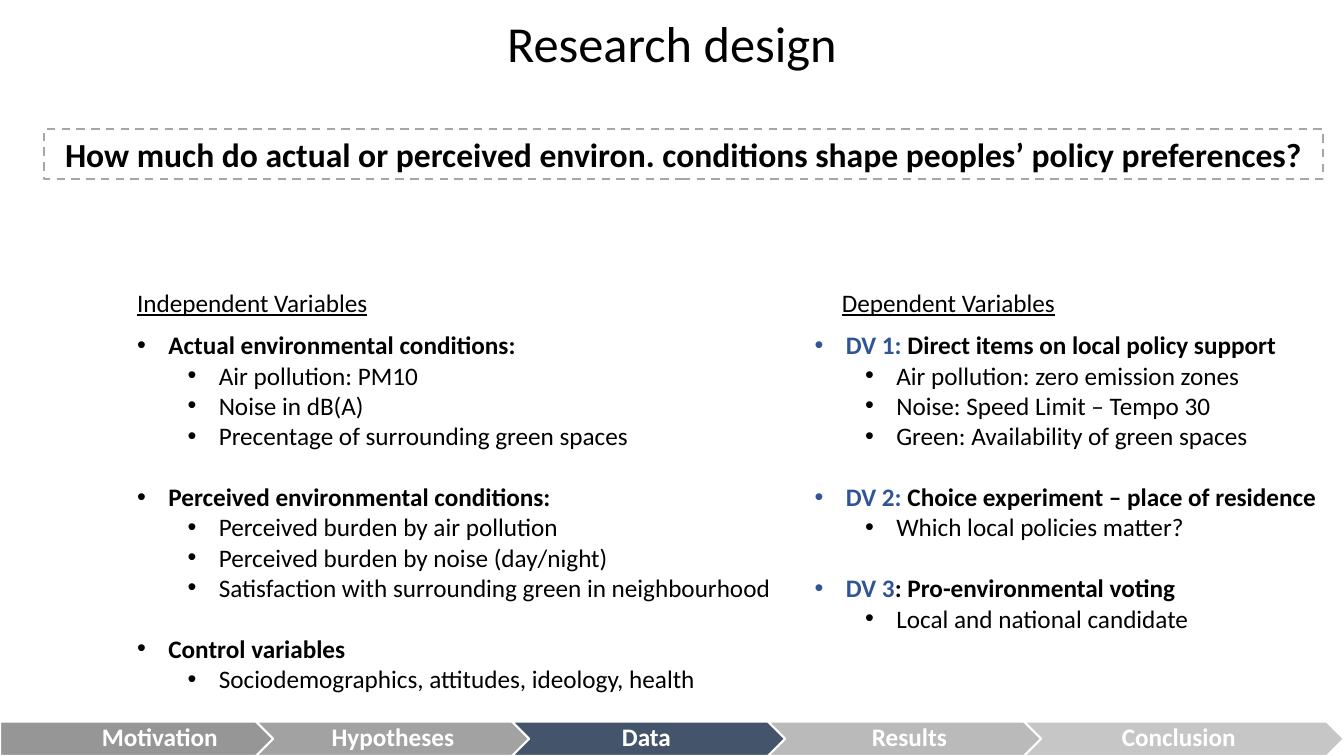
from lxml import etree
from pptx import Presentation
from pptx import util as u
from pptx.dml import color
from pptx.enum import dml, shapes, text
from pptx.oxml import ns

WIDTH, HEIGHT = 13.33, 7.5
LIST_TOP, HEADING_TOP = 3.22, 2.8
BLACK, WHITE, BLUE = "000000", "FFFFFF", "2F5597"
LINE_HEIGHT = 22

INDEPENDENT = [
    ("", "Actual environmental conditions:",
     ["Air pollution: PM10", "Noise in dB(A)", "Precentage of surrounding green spaces"]),
    ("", "Perceived environmental conditions:",
     ["Perceived burden by air pollution", "Perceived burden by noise (day/night)",
      "Satisfaction with surrounding green in neighbourhood"]),
    ("", "Control variables", ["Sociodemographics, attitudes, ideology, health"]),
]
DEPENDENT = [
    ("DV 1: ", "Direct items on local policy support",
     ["Air pollution: zero emission zones", "Noise: Speed Limit – Tempo 30",
      "Green: Availability of green spaces"]),
    ("DV 2: ", "Choice experiment – place of residence", ["Which local policies matter?"]),
    ("DV 3", ": Pro-environmental voting", ["Local and national candidate"]),
]
STAGES = [
    ("Motivation", "969696", 1.01),
    ("Hypotheses", "A2A2A2", 0.58),
    ("Data", "44546A", 0.92),
    ("Results", "BABABA", 0.86),
    ("Conclusion", "C6C6C6", 0.8),
]


def rgb(hex_code):
    """Turn a hex string into a colour."""
    return color.RGBColor.from_string(hex_code)


def write(paragraph, words, size=18, fill=BLACK, bold=False, underline=False):
    """Add a formatted run to a paragraph."""
    run = paragraph.add_run()
    run.text = words
    run.font.name = "Calibri"
    run.font.size = u.Pt(size)
    run.font.bold = bold
    run.font.underline = underline
    run.font.color.rgb = rgb(fill)


def place(placeholder, left, top, width, height, anchor=text.MSO_ANCHOR.TOP):
    """Move a placeholder and return its text frame."""
    placeholder.left, placeholder.top = u.Inches(left), u.Inches(top)
    placeholder.width, placeholder.height = u.Inches(width), u.Inches(height)
    frame = placeholder.text_frame
    frame.auto_size = text.MSO_AUTO_SIZE.NONE
    frame.word_wrap = True
    frame.vertical_anchor = anchor
    return frame


def bullet(paragraph, level, gap):
    """Give a paragraph its level, hanging bullet and gap above."""
    paragraph.level = level
    paragraph.space_before = u.Pt(gap)
    properties = paragraph._p.get_or_add_pPr()
    properties.set("marL", str(u.Inches(0.31 + 0.5 * level)))
    properties.set("indent", str(u.Inches(-0.31)))
    etree.SubElement(properties, ns.qn("a:buFont")).set("typeface", "Arial")
    etree.SubElement(properties, ns.qn("a:buChar")).set("char", "•")


def fill_list(frame, groups):
    """Write groups of variables, each a bold lead with its items."""
    paragraph = frame.paragraphs[0]
    for number, (label, lead, items) in enumerate(groups):
        if number:
            paragraph = frame.add_paragraph()
        bullet(paragraph, 0, LINE_HEIGHT if number else 0)
        if label:
            write(paragraph, label, fill=BLUE, bold=True)
        write(paragraph, lead, bold=True)
        for item in items:
            paragraph = frame.add_paragraph()
            bullet(paragraph, 1, 0)
            write(paragraph, item)


def add_heading(placeholder, words, left):
    """Write the underlined heading of a list."""
    frame = place(placeholder, left, HEADING_TOP, 4, 0.4)
    frame.paragraphs[0].space_before = u.Pt(0)
    write(frame.paragraphs[0], words, underline=True)


def add_panel(slide, preset, left, top, width, height, line, fill=None):
    """Add an outlined shape with its text in the middle of its height."""
    panel = slide.shapes.add_shape(preset, *map(u.Inches, (left, top, width, height)))
    panel.shadow.inherit = False
    if fill:
        panel.fill.solid()
        panel.fill.fore_color.rgb = rgb(fill)
    else:
        panel.fill.background()
    panel.line.color.rgb = rgb(line)
    panel.line.width = u.Pt(1.5)
    panel.text_frame.vertical_anchor = text.MSO_ANCHOR.MIDDLE
    return panel


def add_question(slide, words):
    """Frame the research question with a dashed line."""
    question = add_panel(slide, shapes.MSO_SHAPE.RECTANGLE, 0.44, 1.28, 12.68, 0.5, "A6A6A6")
    question.line.dash_style = dml.MSO_LINE.DASH
    paragraph = question.text_frame.paragraphs[0]
    paragraph.alignment = text.PP_ALIGN.CENTER
    write(paragraph, words, size=24, bold=True)


def add_progress(slide):
    """Draw the stages of the talk as overlapping arrows along the bottom."""
    width = WIDTH / (1 + 0.8 * (len(STAGES) - 1))
    height = 0.34
    for number, (name, fill, inset) in enumerate(STAGES):
        preset = shapes.MSO_SHAPE.CHEVRON if number else shapes.MSO_SHAPE.PENTAGON
        stage = add_panel(slide, preset, number * 0.8 * width, HEIGHT - height,
                          width, height, WHITE, fill)
        frame = stage.text_frame
        frame.word_wrap = True
        frame.margin_left = u.Inches(inset)
        frame.margin_right = frame.margin_top = frame.margin_bottom = 0
        paragraph = frame.paragraphs[0]
        paragraph.alignment = text.PP_ALIGN.LEFT
        paragraph.line_spacing = 0.9
        write(paragraph, name, fill=WHITE, bold=True)


def main():
    """Build the research design slide."""
    deck = Presentation()
    deck.slide_width, deck.slide_height = u.Inches(WIDTH), u.Inches(HEIGHT)
    slide = deck.slides.add_slide(deck.slide_layouts[4])
    title, left_heading, left_list, right_heading, right_list = slide.placeholders

    heading = place(title, 0, 0, WIDTH, 0.78, text.MSO_ANCHOR.BOTTOM).paragraphs[0]
    heading.alignment = text.PP_ALIGN.CENTER
    heading.line_spacing = 0.9
    write(heading, "Research design", size=36)

    add_heading(left_heading, "Independent Variables", 1.26)
    add_heading(right_heading, "Dependent Variables", 8.25)
    fill_list(place(left_list, 1.26, LIST_TOP, 6.9, 4.04), INDEPENDENT)
    fill_list(place(right_list, 7.98, LIST_TOP, 5.35, 3.13), DEPENDENT)

    add_progress(slide)
    add_question(slide, "How much do actual or perceived environ. conditions "
                        "shape peoples’ policy preferences?")
    deck.save("out.pptx")


if __name__ == "__main__":
    main()
